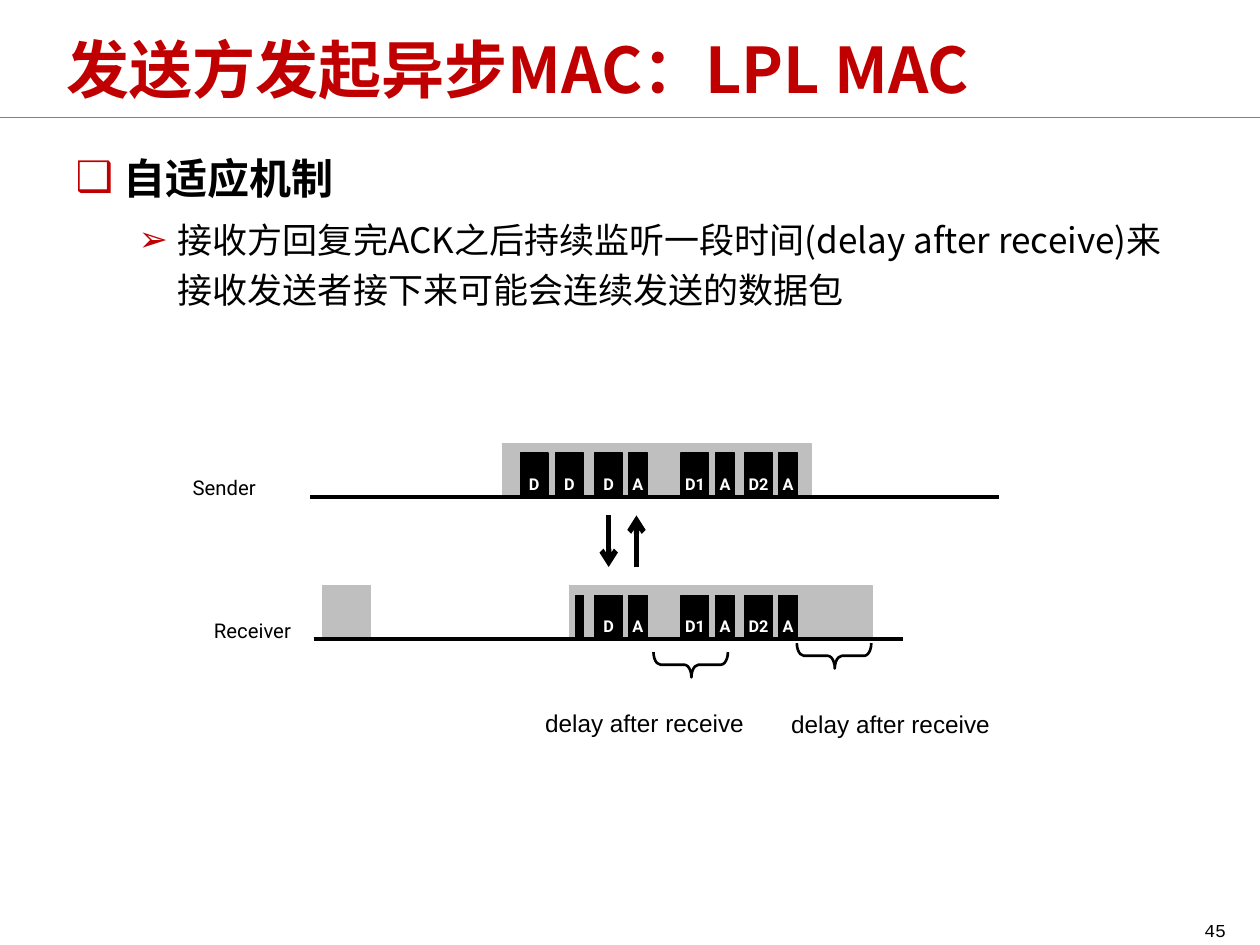
from lxml.etree import SubElement as Sub
from pptx import Presentation
from pptx.dml.color import RGBColor as RGB
from pptx.enum.shapes import MSO_CONNECTOR as Conn, MSO_SHAPE as Kind
from pptx.enum.text import MSO_ANCHOR as Anchor, MSO_AUTO_SIZE as Fit, PP_ALIGN as Align
from pptx.oxml.ns import qn
from pptx.util import Cm, Pt

HUES = {"red": "C00000", "black": "000000", "white": "FFFFFF",
        "band": "BFBFBF", "rule": "808080"}
CJK = "Noto Sans CJK SC"

TITLE = "发送方发起异步MAC：LPL MAC"
# text, level, bullet, left margin, hanging indent, size, bold, space before
POINTS = [
    ("自适应机制", 0, "❑", 0.97, 0.97, 24, True, 0),
    ("接收方回复完ACK之后持续监听一段时间(delay after receive)"
     "来接收发送者接下来可能会连续发送的数据包", 1, "➢", 2.06, 0.79, 20, False, 4),
]

# All lengths are in centimetres.
BANDS = [(10.13, 8.94, 6.22), (6.5, 11.81, 0.97), (11.48, 11.81, 6.1)]
BAND_H = 1.04
AXES = [(6.25, 20.14, 10.01), (6.32, 18.21, 12.88)]
WIDTHS = {"": 0.15, "D": 0.56, "D1": 0.56, "D2": 0.56, "A": 0.38}
PACK_H = 0.86
SHARED = [("D", 11.99), ("A", 12.67), ("D1", 13.73), ("A", 14.43),
          ("D2", 15.01), ("A", 15.7)]
PACKS = [(9.13, [("D", 10.49), ("D", 11.2)] + SHARED),
         (12, [("", 11.61)] + SHARED)]
ARROWS = [(12.27, 10.39, 11.43), (12.83, 11.43, 10.39)]
BRACES = [(16.56, 12.47), (13.67, 12.65)]
DELAY = "delay after receive"
# text, left, top, width, height, size, font, alignment
LABELS = [
    ("Sender", 2.72, 8.99, 2.69, 1.12, 20, "Roboto", Align.RIGHT),
    ("Receiver", 2.84, 11.86, 3.28, 1.12, 20, "Roboto", Align.RIGHT),
    (DELAY, 10.74, 13.59, 5.33, 0.94, 24, "Arial", Align.LEFT),
    (DELAY, 15.7, 13.61, 5.33, 0.94, 24, "Arial", Align.LEFT),
]
PAGE = ("45", 22.86, 18.21, 2.11, 0.64, 18, "Courier New", Align.RIGHT)


def hue(name):
    return RGB.from_string(HUES[name])


def style(para, size, face, tint="black", bold=False, low=False):
    """Format a whole paragraph; low lowers it as a subscript."""
    font = para.font
    font.size, font.name, font.bold = Pt(size), face, bold
    font.color.rgb = hue(tint)
    props = para._p.pPr.find(qn("a:defRPr"))
    Sub(props, qn("a:ea")).set("typeface", face)
    if low:
        props.set("baseline", "-25000")


def place(shape, *box):
    shape.left, shape.top, shape.width, shape.height = map(Cm, box)


def bullet(para, mark, left, hang):
    props = para._p.get_or_add_pPr()
    props.set("marL", str(Cm(left)))
    props.set("indent", str(-Cm(hang)))
    tint = Sub(props, qn("a:buClr"))
    Sub(tint, qn("a:srgbClr")).set("val", HUES["red"])
    Sub(props, qn("a:buChar")).set("char", mark)


def add_rect(shapes, box, tint):
    rect = shapes.add_shape(Kind.RECTANGLE, *map(Cm, box))
    rect.shadow.inherit = False
    rect.fill.solid()
    rect.fill.fore_color.rgb = rect.line.color.rgb = hue(tint)
    rect.line.width = Pt(0.75)
    return rect


def add_line(shapes, ends, width, tint="black", arrow=False):
    line = shapes.add_connector(Conn.STRAIGHT, *map(Cm, ends))
    line.line.color.rgb = hue(tint)
    line.line.width = Pt(width)
    if arrow:
        Sub(line.line._get_or_add_ln(), qn("a:tailEnd")).set("type", "arrow")
    Sub(line._element.spPr, qn("a:effectLst"))


def add_label(shapes, text, left, top, width, height, size, face, align):
    box = shapes.add_textbox(*map(Cm, (left, top, width, height)))
    frame = box.text_frame
    frame.word_wrap, frame.auto_size = False, Fit.SHAPE_TO_FIT_TEXT
    para = frame.paragraphs[0]
    para.text, para.alignment = text, align
    style(para, size, face, low=True)
    return frame


def add_pack(shapes, name, left, top):
    rect = add_rect(shapes, (left, top, WIDTHS[name], PACK_H), "black")
    if name:
        frame = rect.text_frame
        frame.word_wrap, frame.vertical_anchor = False, Anchor.MIDDLE
        para = frame.paragraphs[0]
        para.text, para.alignment = name, Align.CENTER
        style(para, 16, "Roboto", "white", True, True)


def add_brace(shapes, left, top):
    brace = shapes.add_shape(Kind.LEFT_BRACE, *map(Cm, (left, top, 0.51, 1.5)))
    brace.shadow.inherit = False
    brace.rotation = 270
    brace.adjustments[0], brace.adjustments[1] = 0.28, 0.51
    brace.fill.background()
    brace.line.color.rgb = hue("black")
    brace.line.width = Pt(1.5)


def fill_text(slide):
    title, body = slide.placeholders
    place(title, 1.09, 0.1, 22.89, 2.54)
    frame = title.text_frame
    frame.text = TITLE
    frame.auto_size, frame.vertical_anchor = Fit.NONE, Anchor.MIDDLE
    para = frame.paragraphs[0]
    para.alignment = Align.LEFT
    style(para, 36, CJK, "red", True)

    place(body, 1.27, 2.74, 23.06, 15.04)
    frame = body.text_frame
    frame.auto_size = Fit.NONE
    for i, (text, level, mark, left, hang, size, bold, gap) in enumerate(POINTS):
        para = frame.add_paragraph() if i else frame.paragraphs[0]
        para.text, para.level = text, level
        para.line_spacing, para.space_before = 1.2, Pt(gap)
        bullet(para, mark, left, hang)
        style(para, size, CJK, bold=bold)


def main():
    deck = Presentation()
    deck.slide_width, deck.slide_height = Cm(25.4), Cm(19.05)
    slide = deck.slides.add_slide(deck.slide_layouts[1])
    shapes = slide.shapes
    fill_text(slide)
    add_line(shapes, (0, 2.36, 25.4, 2.36), 0.25, "rule")
    for left, top, width in BANDS:
        add_rect(shapes, (left, top, width, BAND_H), "band")
    for start, end, y in AXES:
        add_line(shapes, (start, y, end, y), 2.25)
    for top, row in PACKS:
        for name, left in row:
            add_pack(shapes, name, left, top)
    for x, start, end in ARROWS:
        add_line(shapes, (x, start, x, end), 3, arrow=True)
    for spot in BRACES:
        add_brace(shapes, *spot)
    for label in LABELS:
        add_label(shapes, *label)
    page = add_label(shapes, *PAGE)
    page.auto_size, page.word_wrap = Fit.NONE, True
    page.vertical_anchor = Anchor.MIDDLE
    deck.save("out.pptx")


if __name__ == "__main__":
    main()
